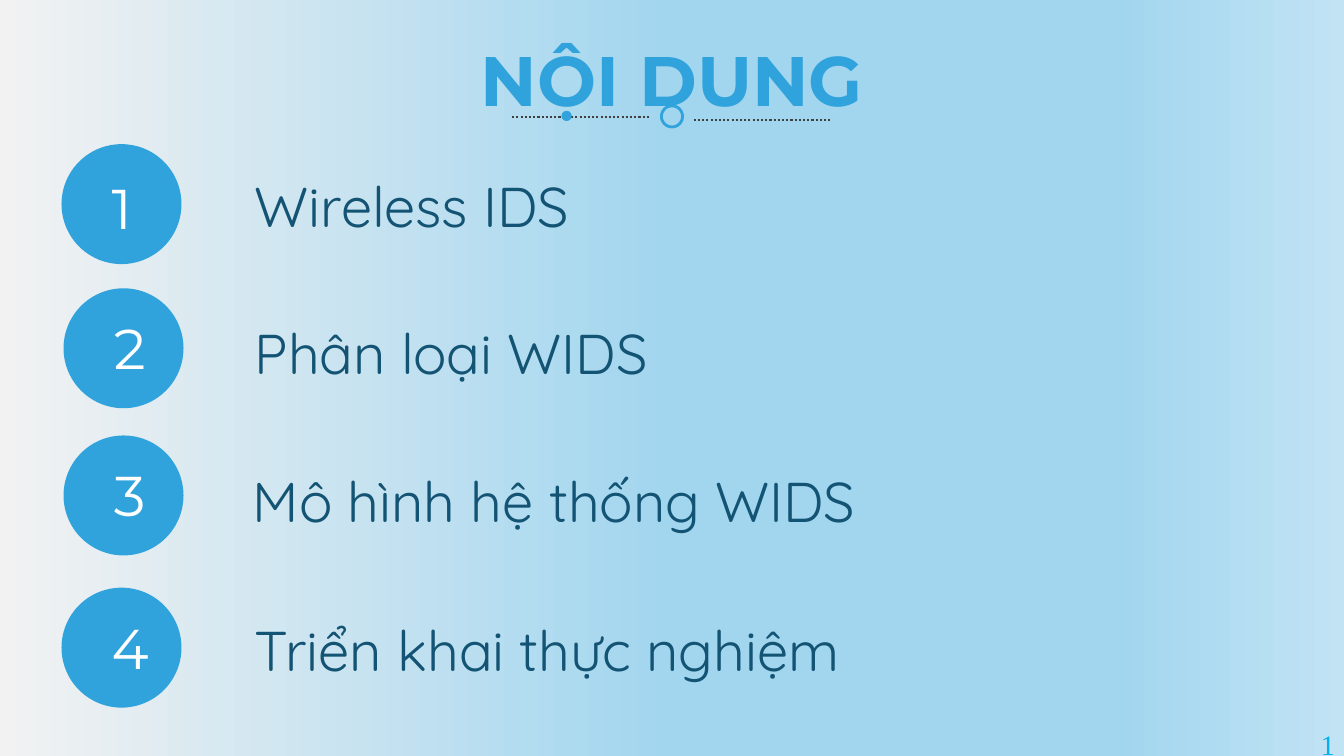
from lxml import etree
from pptx import Presentation
from pptx.dml.color import RGBColor
from pptx.enum.dml import MSO_LINE
from pptx.enum.shapes import MSO_CONNECTOR, MSO_SHAPE
from pptx.enum.text import MSO_ANCHOR, MSO_AUTO_SIZE, PP_ALIGN
from pptx.oxml.ns import qn
from pptx.util import Inches, Pt

COLORS = {"blue": "30A3DC", "navy": "135373", "white": "FFFFFF",
          "gray": "404040", "cyan": "00B0F0"}
BACKGROUND_STOPS = [(0, "F2F2F2"), (50, "A2D6EF"), (83, "A2D6EF"), (100, "C1E3F4")]


def write_text(shape, text, font, size, color, align=PP_ALIGN.LEFT, wrap=True):
    text_frame = shape.text_frame
    text_frame.text = text
    text_frame.word_wrap = wrap
    text_frame.auto_size = MSO_AUTO_SIZE.SHAPE_TO_FIT_TEXT
    text_frame.vertical_anchor = MSO_ANCHOR.TOP
    paragraph = text_frame.paragraphs[0]
    paragraph.alignment = align
    run_font = paragraph.runs[0].font
    run_font.name = font
    run_font.size = Pt(size)
    run_font.color.rgb = RGBColor.from_string(COLORS[color])
    return paragraph


def add_circle(left, top, diameter, filled=True):
    circle = slide.shapes.add_shape(MSO_SHAPE.OVAL, Inches(left), Inches(top),
                                    Inches(diameter), Inches(diameter))
    circle.shadow.inherit = False
    blue = RGBColor.from_string(COLORS["blue"])
    if filled:
        circle.fill.solid()
        circle.fill.fore_color.rgb = blue
        circle.line.fill.background()
    else:
        circle.fill.background()
        circle.line.color.rgb = blue
        circle.line.width = Pt(2)


presentation = Presentation()
presentation.slide_width = Inches(13.33)
presentation.slide_height = Inches(7.5)
slide = presentation.slides.add_slide(presentation.slide_layouts[5])

# Background gradient, left to right
background_fill = slide.background.fill
background_fill.gradient()
background_fill.gradient_angle = 0
stop_list = next(slide.background._cSld.iter(qn("a:gsLst")))
for stop in list(stop_list):
    stop_list.remove(stop)
for percent, color in BACKGROUND_STOPS:
    stop = etree.SubElement(stop_list, qn("a:gs"), pos=str(percent * 1000))
    etree.SubElement(stop, qn("a:srgbClr"), val=color)

# Title
title = slide.shapes.title
title.left, title.top = Inches(4.64), Inches(0.31)
title.width, title.height = Inches(4.05), Inches(0.94)
heading = write_text(title, "NỘI DUNG", "Montserrat", 50, "blue", PP_ALIGN.CENTER, wrap=False)
heading.runs[0].font.bold = True

# Dotted ornament under the title
for left, top in [(5.08, 1.16), (6.88, 1.19)]:
    dotted_line = slide.shapes.add_connector(MSO_CONNECTOR.STRAIGHT, Inches(left), Inches(top),
                                             Inches(left + 1.37), Inches(top))
    dotted_line.line.color.rgb = RGBColor.from_string(COLORS["gray"])
    dotted_line.line.width = Pt(1.5)
    dotted_line.line.dash_style = MSO_LINE.ROUND_DOT
    etree.SubElement(dotted_line._element.spPr, qn("a:effectLst"))
add_circle(6.56, 1.05, 0.21, filled=False)
add_circle(5.57, 1.1, 0.1)

# Numbered agenda: text, circle left, circle top, number top, text left, text top
agenda = [
    ("Wireless IDS", 0.61, 1.43, 1.67, 2.43, 1.65),
    ("Phân loại WIDS", 0.63, 2.86, 3.06, 2.43, 3.11),
    ("Mô hình hệ thống WIDS", 0.63, 4.32, 4.52, 2.41, 4.58),
    ("Triển khai thực nghiệm", 0.61, 5.83, 6.04, 2.43, 6.06),
]
for number, (topic, circle_left, circle_top, number_top, text_left, text_top) in enumerate(agenda, 1):
    add_circle(circle_left, circle_top, 1.19)
    number_box = slide.shapes.add_textbox(Inches(circle_left + 0.4), Inches(number_top),
                                          Inches(0.39), Inches(0.77))
    write_text(number_box, str(number), "Montserrat", 40, "white", PP_ALIGN.CENTER)
    topic_box = slide.shapes.add_textbox(Inches(text_left), Inches(text_top),
                                         Inches(6.67), Inches(0.77))
    write_text(topic_box, topic, "Quicksand", 40, "navy")

# Page number
page_box = slide.shapes.add_textbox(Inches(13.1), Inches(7.09), Inches(0.23), Inches(0.41))
page_frame = page_box.text_frame
page_frame.margin_left = page_frame.margin_right = 0
page_frame.margin_top = page_frame.margin_bottom = 0
page_number = write_text(page_box, "1", "Times New Roman", 20, "cyan")
page_number.line_spacing = Pt(32.9)

presentation.save("out.pptx")
